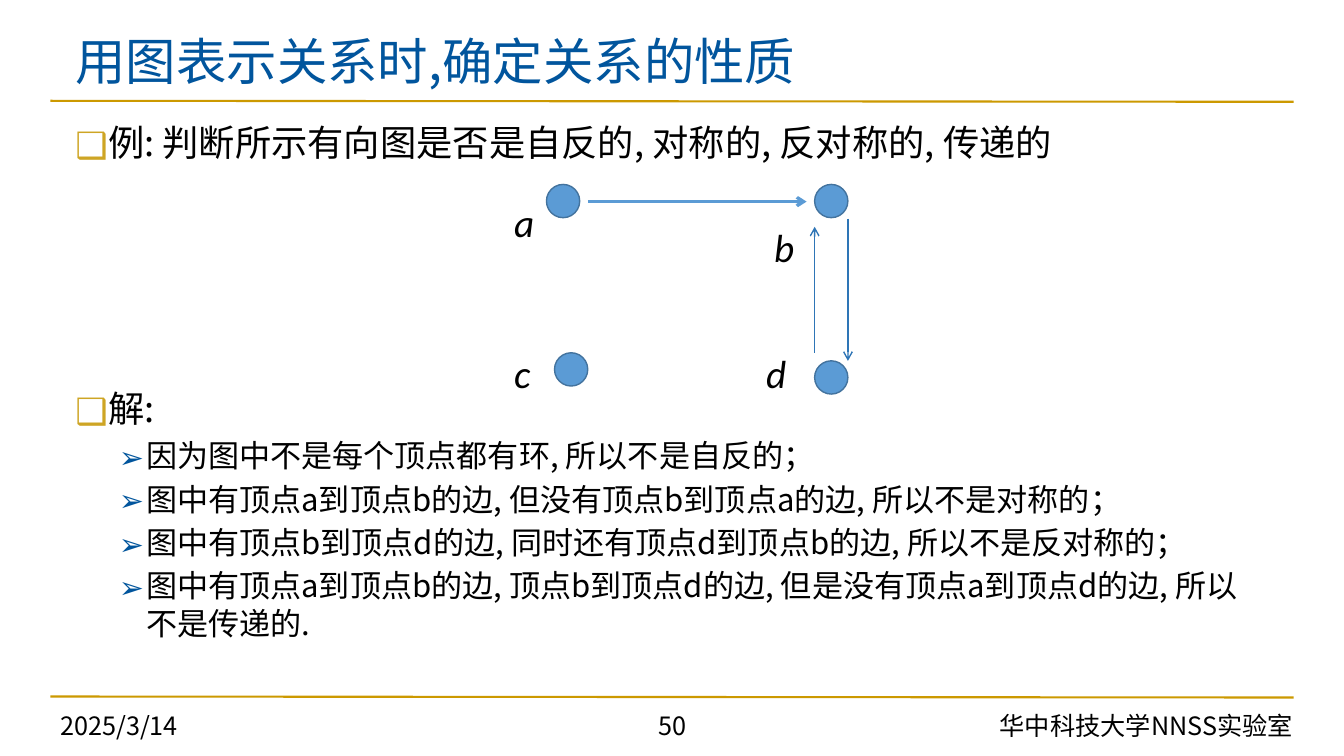
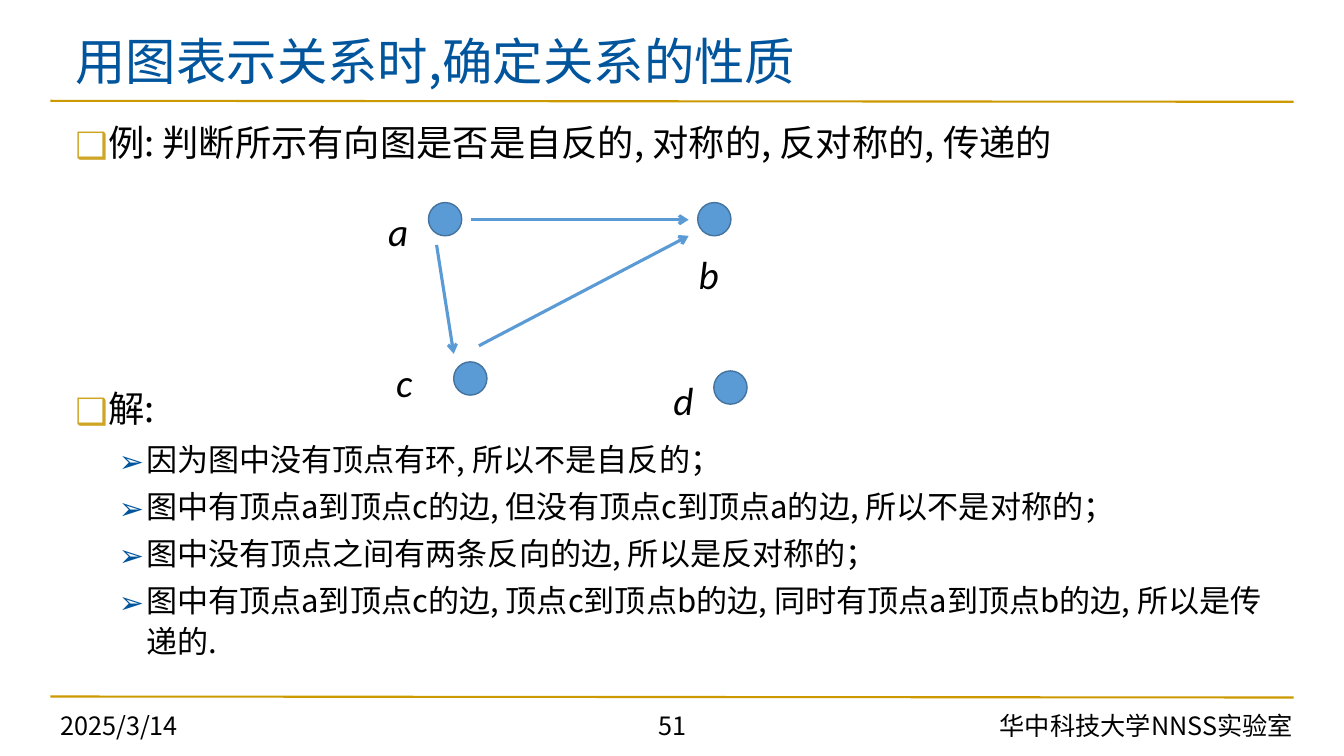
"""Build two slides that read the properties of a relation off its directed graph."""
from lxml import etree
from pptx import Presentation
from pptx.dml.color import RGBColor
from pptx.enum import shapes, text
from pptx.oxml.ns import qn
from pptx.util import Inches, Pt

BLUE = RGBColor(0x01, 0x55, 0x9D)
GOLD = RGBColor(0xCC, 0x99, 0x00)
BULLET_GOLD = RGBColor(0xCE, 0xA5, 0x24)
BLACK = RGBColor(0, 0, 0)
NODE_FILL = RGBColor(0x5B, 0x9B, 0xD5)
NODE_LINE = RGBColor(0x43, 0x73, 0x9E)
THIN_EDGE = RGBColor(0x2E, 0x75, 0xB6)

CJK = "Noto Sans CJK SC"
LATIN = "Calibri"
NODE_SIZE = 0.33
LABEL_SIZE = (0.42, 0.57)
THICK = (NODE_FILL, 2.25)
THIN = (THIN_EDGE, 1)

TITLE = "用图表示关系时,确定关系的性质"
QUESTION = "例: 判断所示有向图是否是自反的, 对称的, 反对称的, 传递的"
SOLUTION = "解:"
DATE = "2025/3/14"
LAB = "华中科技大学NNSS实验室"

# Nodes: name, circle corner, label corner. Edges: start, end, line style.
SLIDES = [
    {
        "number": "50",
        "spacing": 1.0,
        "answers": [
            "因为图中不是每个顶点都有环, 所以不是自反的；",
            "图中有顶点a到顶点b的边, 但没有顶点b到顶点a的边, 所以不是对称的；",
            "图中有顶点b到顶点d的边, 同时还有顶点d到顶点b的边, 所以不是反对称的；",
            "图中有顶点a到顶点b的边, 顶点b到顶点d的边, 但是没有顶点a到顶点d的边, 所以不是传递的.",
        ],
        "nodes": [
            ("a", (5.42, 1.83), (5, 1.92)),
            ("b", (8.08, 1.83), (7.58, 2.17)),
            ("c", (5.5, 3.5), (5, 3.42)),
            ("d", (8.08, 3.58), (7.5, 3.42)),
        ],
        "edges": [
            ((5.83, 2), (8, 2), THICK),
            ((8.08, 3.5), (8.08, 2.25), THIN),
            ((8.41, 2.17), (8.41, 3.58), THIN),
        ],
    },
    {
        "number": "51",
        "spacing": 1.1,
        "answers": [
            "因为图中没有顶点有环, 所以不是自反的；",
            "图中有顶点a到顶点c的边, 但没有顶点c到顶点a的边, 所以不是对称的；",
            "图中没有顶点之间有两条反向的边, 所以是反对称的；",
            "图中有顶点a到顶点c的边, 顶点c到顶点b的边, 同时有顶点a到顶点b的边, 所以是传递的.",
        ],
        "nodes": [
            ("a", (4.25, 2.01), (3.75, 2.01)),
            ("b", (6.92, 2.01), (6.83, 2.43)),
            ("c", (4.5, 3.59), (3.83, 3.51)),
            ("d", (7.08, 3.68), (6.58, 3.68)),
        ],
        "edges": [
            ((4.67, 2.18), (6.83, 2.18), THICK),
            ((4.33, 2.43), (4.5, 3.51), THICK),
            ((4.75, 3.43), (6.83, 2.34), THICK),
        ],
    },
]


def add_box(s, x, y, w, h):
    tf = s.shapes.add_textbox(Inches(x), Inches(y), Inches(w), Inches(h)).text_frame
    tf.word_wrap = True
    return tf


def add_run(p, content, size, color=BLACK, font=CJK, italic=False):
    r = p.add_run()
    r.text = content
    r.font.name, r.font.size, r.font.italic = font, Pt(size), italic
    r.font.color.rgb = color
    etree.SubElement(r._r.get_or_add_rPr(), qn("a:ea")).set("typeface", CJK)


def add_line(s, start, end, color, width, arrow=False):
    points = [Inches(v) for v in (*start, *end)]
    line = s.shapes.add_connector(shapes.MSO_CONNECTOR.STRAIGHT, *points)
    line.line.color.rgb = color
    line.line.width = Pt(width)
    if arrow:
        etree.SubElement(line.line._get_or_add_ln(), qn("a:tailEnd")).set("type", "arrow")
    etree.SubElement(line._element.spPr, qn("a:effectLst"))


def set_bullet(p, char, color, indent, hanging, percent=100):
    pPr = p._p.get_or_add_pPr()
    pPr.set("marL", str(Inches(indent)))
    pPr.set("indent", str(-Inches(hanging)))
    clr = etree.SubElement(pPr, qn("a:buClr"))
    etree.SubElement(clr, qn("a:srgbClr")).set("val", str(color))
    etree.SubElement(pPr, qn("a:buSzPct")).set("val", str(percent * 1000))
    etree.SubElement(pPr, qn("a:buFont")).set("typeface", CJK)
    etree.SubElement(pPr, qn("a:buChar")).set("char", char)


def add_frame(s, number):
    for y in (1, 6.91):
        add_line(s, (0.5, y), (12.83, y + 0.01), GOLD, 1.5)
    tf = add_box(s, 0.65, 0.29, 12.02, 0.7)
    tf.vertical_anchor = text.MSO_ANCHOR.MIDDLE
    tf.paragraphs[0].line_spacing = 0.9
    add_run(tf.paragraphs[0], TITLE, 36, BLUE)
    footers = [
        (DATE, 0.5, 3.17, text.PP_ALIGN.LEFT),
        (number, 4.67, 4, text.PP_ALIGN.CENTER),
        (LAB, 7.75, 5.17, text.PP_ALIGN.RIGHT),
    ]
    for content, x, w, align in footers:
        p = add_box(s, x, 7, w, 0.41).paragraphs[0]
        p.alignment = align
        add_run(p, content, 18)


def add_body(s, answers, spacing):
    tf = add_box(s, 0.65, 1.19, 12.02, 5.6)
    heads = [(QUESTION, 0), (SOLUTION, 162.5)]
    rows = [(head, before, 0.9, 25.9, ("❑", BULLET_GOLD, 0.3, 0.3)) for head, before in heads]
    rows += [(answer, 4.3, spacing, 22.2, ("➢", BLUE, 0.7, 0.27, 97)) for answer in answers]
    for i, (content, before, line_spacing, size, bullet) in enumerate(rows):
        p = tf.add_paragraph() if i else tf.paragraphs[0]
        p.line_spacing = line_spacing
        if before:
            p.space_before = Pt(before)
        set_bullet(p, *bullet)
        add_run(p, content, size)


def add_graph(s, nodes, edges):
    for name, corner, label in nodes:
        box = [Inches(v) for v in (*corner, NODE_SIZE, NODE_SIZE)]
        sp = s.shapes.add_shape(shapes.MSO_SHAPE.OVAL, *box)
        sp.shadow.inherit = False
        sp.fill.solid()
        sp.fill.fore_color.rgb = NODE_FILL
        sp.line.color.rgb = NODE_LINE
        sp.line.width = Pt(1)
        tf = add_box(s, *label, *LABEL_SIZE)
        add_run(tf.paragraphs[0], name, 28, font=LATIN, italic=True)
    for start, end, style in edges:
        add_line(s, start, end, *style, arrow=True)


def main():
    prs = Presentation()
    prs.slide_width, prs.slide_height = Inches(13.33), Inches(7.5)
    for content in SLIDES:
        s = prs.slides.add_slide(prs.slide_layouts[6])
        add_frame(s, content["number"])
        add_body(s, content["answers"], content["spacing"])
        add_graph(s, content["nodes"], content["edges"])
    prs.save("out.pptx")


if __name__ == "__main__":
    main()
